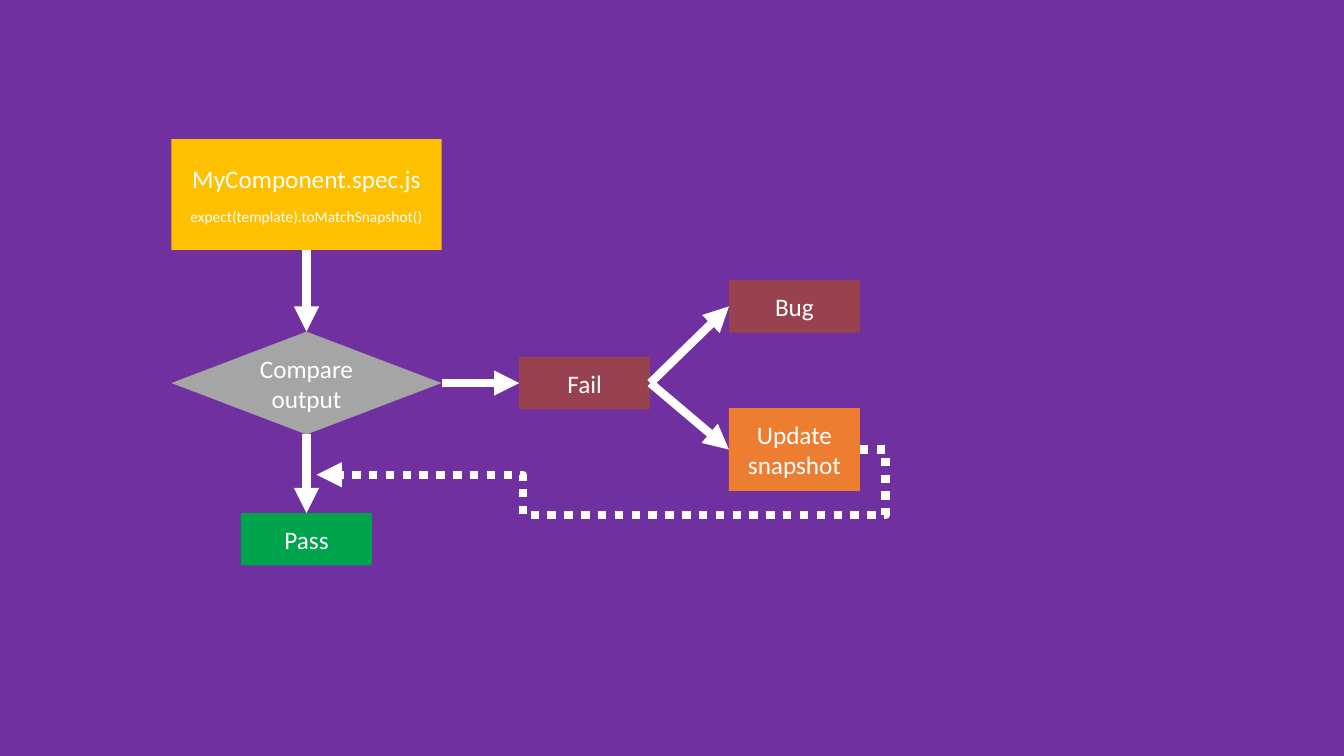
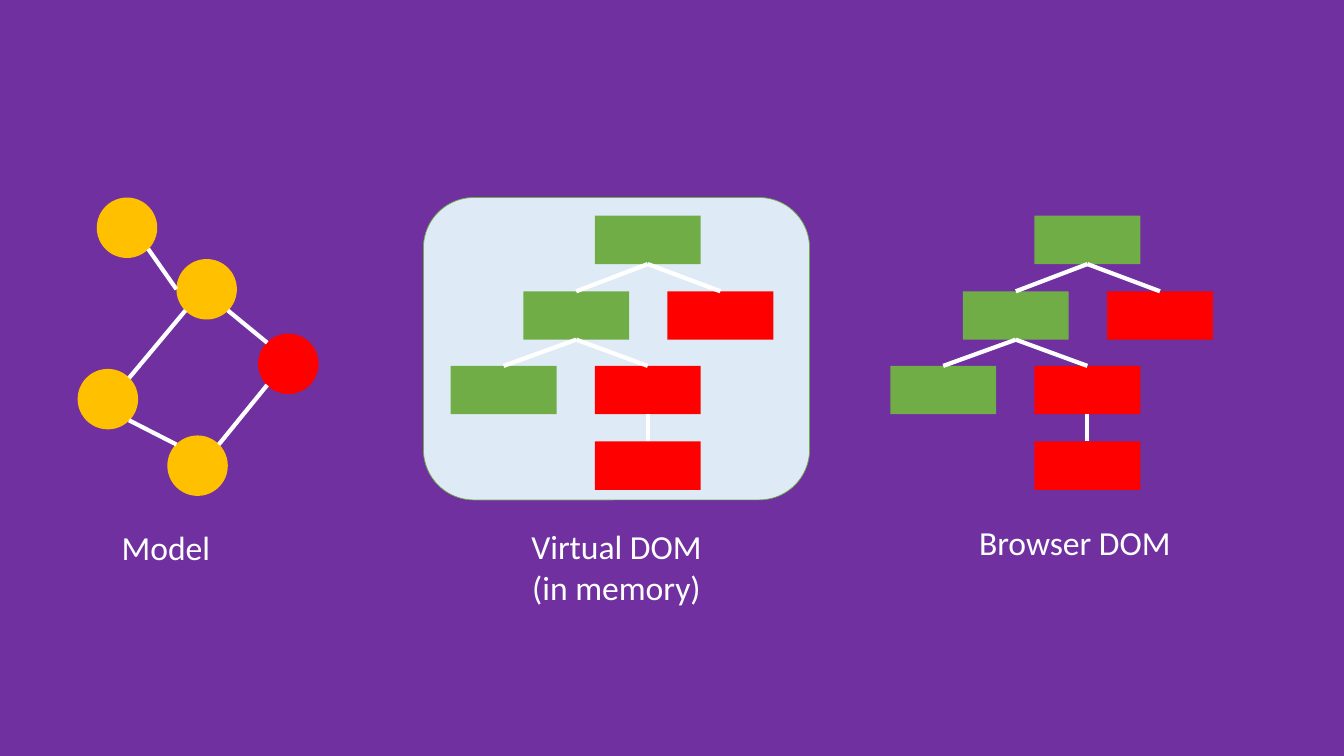
from dataclasses import dataclass

from lxml.etree import SubElement
from pptx import Presentation
from pptx.dml.color import RGBColor as RGB
from pptx.enum.dml import MSO_LINE
from pptx.enum.shapes import MSO_CONNECTOR as CONN, MSO_SHAPE as SHAPE
from pptx.enum.text import MSO_ANCHOR as ANCHOR, MSO_AUTO_SIZE as AUTO, PP_ALIGN as ALIGN
from pptx.oxml.ns import qn
from pptx.util import Pt


@dataclass(frozen=True)
class Theme:
    back: str = "7030A0"
    white: str = "FFFFFF"
    amber: str = "FFC000"
    grey: str = "A5A5A5"
    passed: str = "00A44D"
    failed: str = "99424F"
    orange: str = "ED7D31"
    green: str = "70AD47"
    red: str = "FF0000"
    pale: str = "DEEBF7"
    font: str = "Calibri"
    code: int = 11
    body: int = 18
    label: int = 24
    arrow: int = 6
    link: int = 3
    gap: int = 10


T = Theme()
SCALE = 9144


def px(*lengths):
    return [round(n * SCALE) for n in lengths]


def assign(obj, values):
    for name, value in values.items():
        setattr(obj, name, value)


def write(tf, text, sizes):
    tf.text = text
    for i, p in enumerate(tf.paragraphs):
        assign(p, {"alignment": ALIGN.CENTER})
        for r in p.runs:
            assign(r.font, {"name": T.font, "size": Pt(sizes[min(i, len(sizes) - 1)])})
            r.font.color.rgb = RGB.from_string(T.white)


def block(s, kind, box, fill, text="", sizes=(T.body,), outline=None):
    sp = s.shapes.add_shape(kind, *px(*box))
    sp.shadow.inherit = False
    sp.fill.solid()
    sp.fill.fore_color.rgb = RGB.from_string(fill)
    if outline:
        sp.line.color.rgb = RGB.from_string(outline)
        sp.line.width = Pt(0.5)
    else:
        sp.line.fill.background()
    if text:
        assign(sp.text_frame, {"word_wrap": True, "vertical_anchor": ANCHOR.MIDDLE})
        write(sp.text_frame, text, sizes)
    return sp


def label(s, box, text):
    tf = s.shapes.add_textbox(*px(*box)).text_frame
    assign(tf, {"word_wrap": False, "auto_size": AUTO.SHAPE_TO_FIT_TEXT})
    write(tf, text, (T.label,))


def line(s, start, end, width, kind=CONN.STRAIGHT, dash=None, head=False):
    c = s.shapes.add_connector(kind, *px(*start, *end))
    c.line.color.rgb = RGB.from_string(T.white)
    assign(c.line, {"width": Pt(width), "dash_style": dash})
    spPr = c._element.spPr
    if head:
        SubElement(spPr.find(qn("a:ln")), qn("a:tailEnd"), type="triangle")
    SubElement(spPr, qn("a:effectLst"))
    return c


def join(s, a, side_a, b, side_b, width, head=False):
    c = line(s, (0, 0), (0, 0), width, head=head)
    c.begin_connect(a, side_a)
    c.end_connect(b, side_b)


def bend(c, *adjusts):
    geom = c._element.spPr.find(qn("a:prstGeom"))
    geom.set("prst", "bentConnector5")
    av = geom.find(qn("a:avLst"))
    if av is None:
        av = SubElement(geom, qn("a:avLst"))
    for i, value in enumerate(adjusts, 1):
        SubElement(av, qn("a:gd"), name=f"adj{i}", fmla=f"val {value}")


def snapshot_flow(s, x, y):
    w, h = 130, 52

    def step(kind, dx, dy, dw, dh, *look):
        return block(s, kind, (x + dx, y + dy, dw, dh), *look)

    test = step(SHAPE.RECTANGLE, 0, 0, 268, 110, T.amber,
                "MyComponent.spec.js\nexpect(template).toMatchSnapshot()", (T.body, T.code))
    test.text_frame.paragraphs[1].space_before = Pt(T.gap)
    compare = step(SHAPE.DIAMOND, 0, 191, 268, 102, T.grey, "Compare\noutput")
    passed = step(SHAPE.RECTANGLE, 69, 371, w, h, T.passed, "Pass")
    fail = step(SHAPE.RECTANGLE, 345, 216, w, h, T.failed, "Fail")
    bug = step(SHAPE.RECTANGLE, 553, 140, w, h, T.failed, "Bug")
    update = step(SHAPE.RECTANGLE, 553, 267, w, 82, T.orange, "Update snapshot")

    for a, i, b, j in ((test, 2, compare, 0), (compare, 2, passed, 0), (compare, 3, fail, 1),
                       (fail, 3, bug, 1), (fail, 3, update, 1)):
        join(s, a, i, b, j, T.arrow, head=True)

    back = line(s, (x + 683, y + 308), (x + 144, y + 333), T.arrow,
                CONN.ELBOW, MSO_LINE.ROUND_DOT, head=True)
    back.begin_connect(update, 3)
    bend(back, -4700, 260000, 62000)


def model_graph(s, x, y):
    d, r, k = 60, 30, 21
    nodes = {"top": (19, 0), "hub": (98, 61), "changed": (179, 135),
             "left": (0, 170), "bottom": (89, 236)}
    for name, (dx, dy) in nodes.items():
        fill = T.red if name == "changed" else T.amber
        block(s, SHAPE.OVAL, (x + dx, y + dy, d, d), fill)

    def rim(name, dx, dy):
        left, top = nodes[name]
        return x + left + r + dx, y + top + r + dy

    for start, end in ((("top", k, k), ("hub", -r, 0)),
                       (("changed", -k, -k), ("hub", k, k)),
                       (("bottom", -k, -k), ("left", k, k)),
                       (("left", k, -k), ("hub", -k, k)),
                       (("bottom", k, -k), ("changed", -k, k))):
        line(s, rim(*start), rim(*end), T.link)


def dom_tree(s, x, y):
    w, h, span_x, span_y = 105, 48, 215, 224
    grid = ((2, 0, T.green), (1, 1, T.green), (3, 1, T.red),
            (0, 2, T.green), (2, 2, T.red), (2, 3, T.red))
    nodes = [block(s, SHAPE.RECTANGLE,
                   (x + round(col * span_x / 3), y + round(row * span_y / 3), w, h), fill)
             for col, row, fill in grid]
    for parent, child in ((0, 1), (0, 2), (1, 3), (1, 4), (4, 5)):
        join(s, nodes[parent], 2, nodes[child], 0, T.link)


def virtual_dom(s, x, y):
    block(s, SHAPE.ROUNDED_RECTANGLE, (x, y, 383, 300), T.pale, outline=T.green)
    dom_tree(s, x + 27, y + 18)
    label(s, (x + 96, y + 321, 191, 91), "Virtual DOM\n(in memory)")


def new_slide(prs):
    s = prs.slides.add_slide(prs.slide_layouts[6])
    fill = s.background.fill
    fill.solid()
    fill.fore_color.rgb = RGB.from_string(T.back)
    return s


def main():
    prs = Presentation()
    width, height = px(1333, 750)
    assign(prs, {"slide_width": width, "slide_height": height})

    snapshot_flow(new_slide(prs), 170, 138)

    s = new_slide(prs)
    model_graph(s, 77, 196)
    label(s, (110, 518, 109, 50), "Model")
    virtual_dom(s, 420, 196)
    dom_tree(s, 883, 214)
    label(s, (960, 513, 212, 50), "Browser DOM")

    prs.save("out.pptx")


if __name__ == "__main__":
    main()
